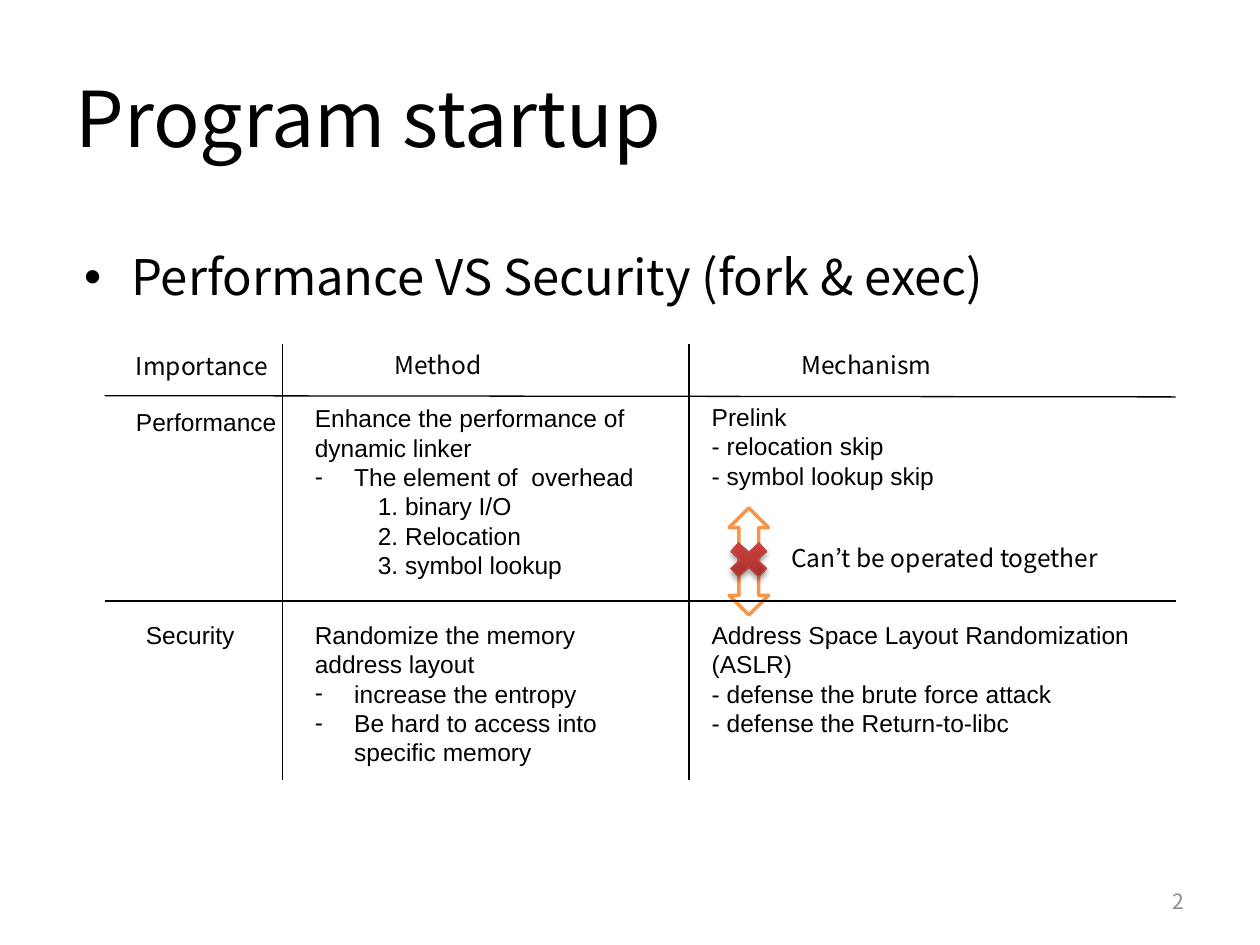
from pptx import Presentation
from pptx.util import Pt
from pptx.dml.color import RGBColor as RGB
from pptx.enum.shapes import MSO_SHAPE as Shape, MSO_CONNECTOR as Conn
from pptx.enum.text import PP_ALIGN as Align, MSO_ANCHOR as Anchor
from pptx.oxml import parse_xml
from pptx.oxml.ns import qn, nsdecls
from lxml.etree import SubElement

COL = {"ink": "000000", "page": "8C8C8C", "white": "FFFFFF", "arrow": "F79646",
       "dark": "9C2F2D", "red": "CB3E3A", "edge": "BF4C48"}
NOTO, ARIAL = "Noto Sans CJK KR", "Arial"
DASH = ("-", 22.5)      # bullet sign and hanging indent
DEEP = ("", 36)         # plain line set further in


def rgb(name):
    return RGB.from_string(COL[name])


def indent(para, sign, left):
    props = para._p.get_or_add_pPr()
    props.set("marL", str(Pt(left)))
    if sign:
        props.set("indent", str(-Pt(left)))
        SubElement(props, qn("a:buFont"), typeface=ARIAL)
        SubElement(props, qn("a:buChar"), char=sign)


def text(slide, box, lines, size=14, font=ARIAL, color="ink",
         align=Align.LEFT, anchor=Anchor.TOP, before=0):
    """Each line is a string, or a string with its bullet style."""
    frame = slide.shapes.add_textbox(*map(Pt, box)).text_frame
    frame.word_wrap = True
    frame.vertical_anchor = anchor
    for i, line in enumerate(lines):
        words, style = (line, None) if isinstance(line, str) else line
        para = frame.paragraphs[0] if i == 0 else frame.add_paragraph()
        para.text = words
        para.alignment = align
        para.space_before = Pt(before)
        para.font.size = Pt(size)
        para.font.name = font
        para.font.color.rgb = rgb(color)
        if style:
            indent(para, *style)


def rule(slide, x1, y1, x2, y2):
    line = slide.shapes.add_connector(Conn.STRAIGHT, *map(Pt, (x1, y1, x2, y2)))
    line.line.color.rgb = rgb("ink")
    line.line.width = Pt(0.75)
    SubElement(line._element.spPr, qn("a:effectLst"))


def shape(slide, kind, box, edge, width):
    item = slide.shapes.add_shape(kind, *map(Pt, box))
    item.shadow.inherit = False
    item.line.color.rgb = rgb(edge)
    item.line.width = Pt(width)
    return item


def cross(slide, box):
    item = shape(slide, Shape.MATH_MULTIPLY, box, "edge", 0.75)
    item.fill.gradient()
    item.fill.gradient_angle = 90
    for stop, name, place in zip(item.fill.gradient_stops, ("dark", "red"), (0, 0.8)):
        stop.color.rgb = rgb(name)
        stop.position = place
    # Soft shadow below the cross
    item._element.spPr.find(qn("a:effectLst")).append(parse_xml(
        f'<a:outerShdw {nsdecls("a")} blurRad="{Pt(3.1)}" dist="{Pt(1.8)}" '
        'dir="5400000" rotWithShape="0"><a:srgbClr val="000000">'
        '<a:alpha val="35000"/></a:srgbClr></a:outerShdw>'))


def main():
    deck = Presentation()
    deck.slide_width, deck.slide_height = Pt(720), Pt(540)
    slide = deck.slides.add_slide(deck.slide_layouts[6])

    # Title and main point
    text(slide, (36, 21.6, 648, 90), ["Program startup"], 44, NOTO, anchor=Anchor.MIDDLE)
    text(slide, (41, 137.5, 648, 53.3),
         [("Performance VS Security (fork & exec)", ("•", 27))], 28, NOTO, before=5.6)

    # Row names
    text(slide, (70.6, 229, 118.8, 24.5), ["Performance"])
    text(slide, (76.3, 350.6, 93.6, 24.5), ["Security"])

    # Methods
    text(slide, (172.8, 226.8, 226.8, 108.7), [
        "Enhance the performance of dynamic linker",
        ("The element of  overhead", DASH),
        ("1. binary I/O", DEEP), ("2. Relocation", DEEP), ("3. symbol lookup", DEEP)])
    text(slide, (172.8, 350.6, 215.3, 126), [
        "Randomize the memory address layout",
        ("increase the entropy", DASH),
        ("Be hard to access into specific memory", DASH)])

    # Mechanisms
    text(slide, (399.6, 226.1, 164.2, 58.3),
         ["Prelink", "- relocation skip", "- symbol lookup skip"])
    text(slide, (399.6, 350.6, 283.7, 92.2), [
        "Address Space Layout Randomization", "(ASLR)",
        "- defense the brute force attack", "- defense the Return-to-libc"])

    # Conflict mark
    arrow = shape(slide, Shape.UP_DOWN_ARROW, (416.7, 290.2, 22.5, 61.2), "arrow", 2)
    arrow.fill.solid()
    arrow.fill.fore_color.rgb = rgb("white")
    cross(slide, (412.4, 306, 31, 28))
    text(slide, (445, 306.7, 215.3, 24.5), ["Can’t be operated together"], font=NOTO)

    # Column heads
    for x, y, wide, head in ((70.6, 197.3, 99.4, "Importance"),
                             (218.2, 196.6, 147.6, "Method"),
                             (450.7, 196.6, 124.6, "Mechanism")):
        text(slide, (x, y, wide, 24.5), [head], font=NOTO)

    # Grid lines
    for y1, y2 in ((226.1, 226.8), (343.5, 343.5)):
        rule(slide, 59.8, y1, 671.8, y2)
    for x in (161.3, 393.8):
        rule(slide, x, 196.6, x, 445.7)

    # Page number
    text(slide, (516.2, 500.4, 167.8, 28.8), ["2"], 12, NOTO, "page",
         Align.RIGHT, Anchor.MIDDLE)

    deck.save("out.pptx")


main()
